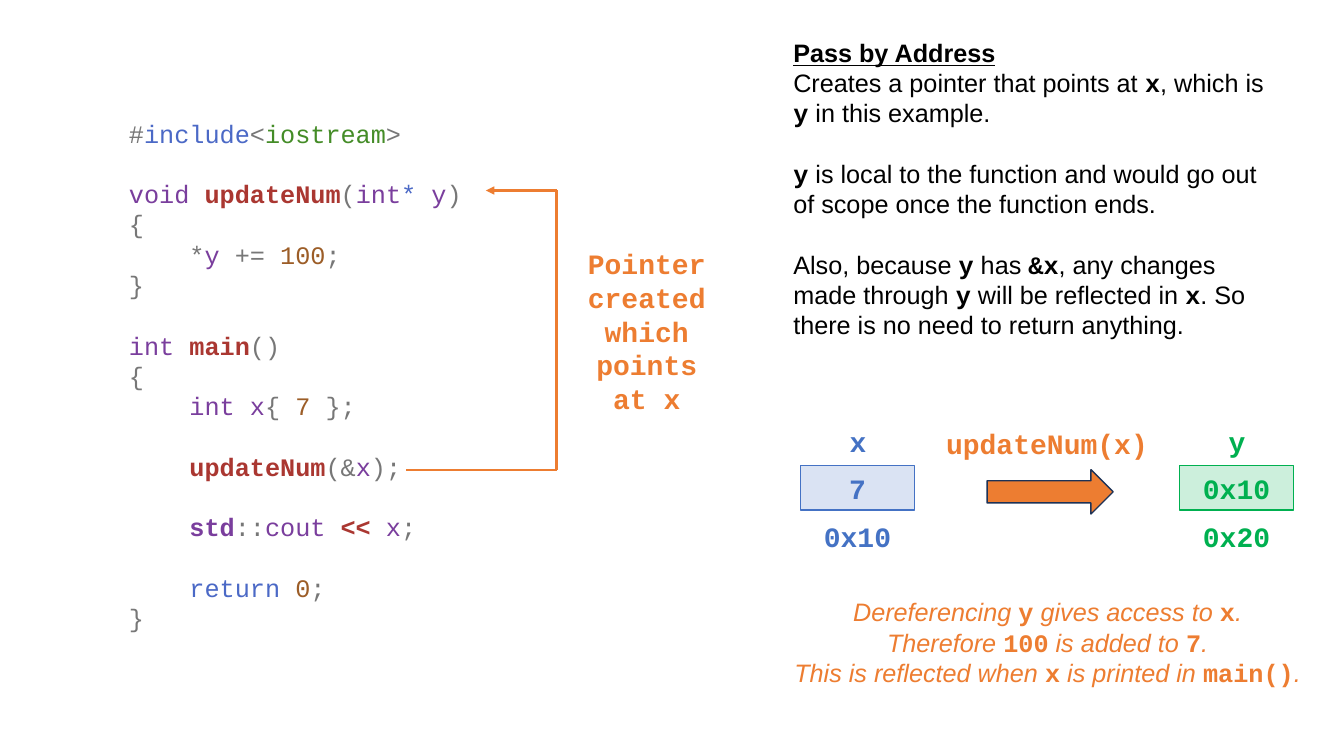
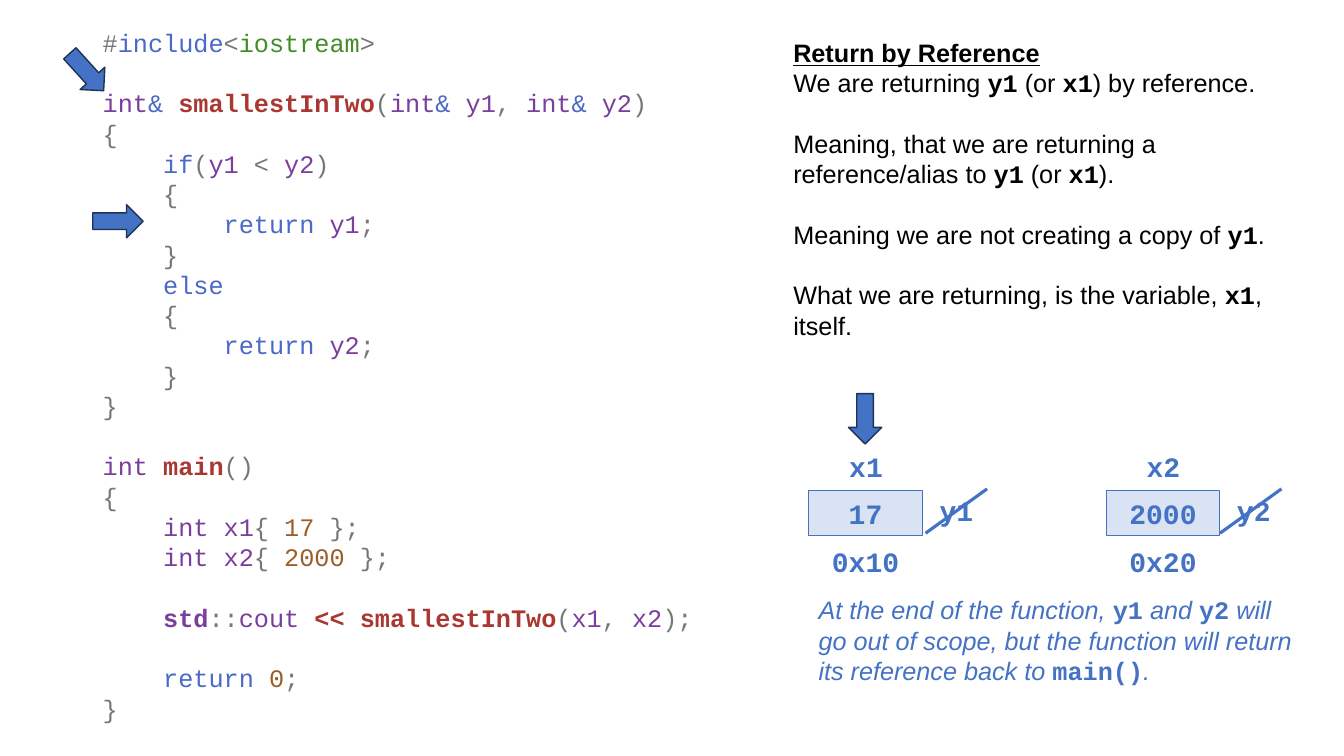
from dataclasses import dataclass
from itertools import groupby, pairwise

from lxml import etree
from pptx import Presentation
from pptx import util as u
from pptx.dml import color as dml
from pptx.enum import shapes, text
from pptx.oxml import ns

EMU_PER_PX = 9144  # 100 px to the inch


@dataclass(frozen=True)
class Theme:
    sans: str = "Arial"
    mono: str = "Courier New"
    body_size: float = 18
    label_size: float = 20
    blank_line: float = 21.7
    thin: float = 0.75
    outline: float = 1
    route: float = 1.5
    strike: float = 2.25
    black: str = "000000"
    blue: str = "4472C4"
    pale_blue: str = "DAE3F3"
    navy: str = "1E3256"
    orange: str = "ED7D31"
    green: str = "00B050"
    code_symbol: str = "777777"
    code_keyword: str = "4B69C6"
    code_header: str = "448C27"
    code_name: str = "7A3E9D"
    code_function: str = "AA3731"
    code_number: str = "9C5D27"


THEME = Theme()
KEYWORDS = {"include", "return", "if", "else"}
FUNCTIONS = {"updateNum", "smallestInTwo", "main"}

ADDRESS_CODE = """#include<iostream>

void updateNum(int* y)
{
    *y += 100;
}

int main()
{
    int x{ 7 };

    updateNum(&x);

    std::cout << x;

    return 0;
}"""

REFERENCE_CODE = """#include<iostream>

int& smallestInTwo(int& y1, int& y2)
{
    if(y1 < y2)
    {
        return y1;
    }
    else
    {
        return y2;
    }
}

int main()
{
    int x1{ 17 };
    int x2{ 2000 };

    std::cout << smallestInTwo(x1, x2);

    return 0;
}"""


def px(length):
    return u.Emu(length * EMU_PER_PX)


def rgb(value):
    return dml.RGBColor.from_string(value)


def style_font(font, name=None, size=None, color=None, **flags):
    if name:
        font.name = name
    if size:
        font.size = u.Pt(size)
    if color:
        font.color.rgb = rgb(color)
    for flag, value in flags.items():
        setattr(font, flag, value)


def add_text_frame(slide, box):
    frame = slide.shapes.add_textbox(*map(px, box)).text_frame
    frame.word_wrap = True
    frame.auto_size = text.MSO_AUTO_SIZE.SHAPE_TO_FIT_TEXT
    return frame


def next_paragraph(frame, index, gap=False):
    paragraph = frame.add_paragraph() if index else frame.paragraphs[0]
    if gap:
        paragraph.space_before = u.Pt(THEME.blank_line)
    return paragraph


# Source code with syntax colours
def token_kind(character):
    if character.isspace():
        return "space"
    return "word" if character.isalnum() else "symbol"


def token_style(token, kind, previous):
    """Return the colour of a token and whether it is bold."""
    if kind == "symbol":
        if token == "<<":
            return THEME.code_function, True
        after_type = previous == "int" and token in "*&"
        return (THEME.code_keyword if after_type else THEME.code_symbol), False
    if token in FUNCTIONS:
        return THEME.code_function, True
    if token in KEYWORDS:
        return THEME.code_keyword, False
    if token == "iostream":
        return THEME.code_header, False
    if token.isdigit():
        return THEME.code_number, False
    return THEME.code_name, token == "std"


def add_code(slide, box, source):
    frame = add_text_frame(slide, box)
    gap = False
    for index, line in enumerate(source.splitlines()):
        if not line:
            gap = True
            continue
        paragraph = next_paragraph(frame, index, gap)
        style_font(paragraph.font, THEME.mono, THEME.body_size)
        previous = ""
        for kind, characters in groupby(line, token_kind):
            token = "".join(characters)
            run = paragraph.add_run()
            run.text = token
            color, bold = token_style(token, kind, previous)
            style_font(run.font, color=color, bold=bold)
            previous = token
        gap = False


# Prose, with `code words` between backticks
def add_marked_runs(paragraph, sentence, italic=False):
    for index, part in enumerate(sentence.split("`")):
        is_code = index % 2 == 1
        run = paragraph.add_run()
        run.text = part
        style_font(run.font, THEME.mono if is_code else THEME.sans,
                   bold=is_code, italic=italic and not is_code)


def add_explanation(slide, heading, sentences):
    frame = add_text_frame(slide, (777, 32, 494, 313))
    title = frame.paragraphs[0]
    title.add_run().text = heading
    style_font(title.font, THEME.sans, THEME.body_size, THEME.black, bold=True, underline=True)
    for index, sentence in enumerate(sentences, 1):
        paragraph = next_paragraph(frame, index, gap=index > 1)
        style_font(paragraph.font, size=THEME.body_size, color=THEME.black)
        add_marked_runs(paragraph, sentence)


def add_remark(slide, box, sentences, color, alignment):
    frame = add_text_frame(slide, box)
    for index, sentence in enumerate(sentences):
        paragraph = next_paragraph(frame, index)
        paragraph.alignment = alignment
        style_font(paragraph.font, size=THEME.body_size, color=color)
        add_marked_runs(paragraph, sentence, italic=True)


# Memory diagram
def write_label(frame, caption, color):
    paragraph = frame.paragraphs[0]
    paragraph.alignment = text.PP_ALIGN.CENTER
    paragraph.add_run().text = caption
    style_font(paragraph.font, THEME.mono, THEME.label_size, color, bold=True)


def add_label(slide, box, caption, color):
    write_label(add_text_frame(slide, box), caption, color)


def add_filled_shape(slide, kind, box, fill, line, width):
    shape = slide.shapes.add_shape(kind, *map(px, box))
    shape.shadow.inherit = False
    shape.fill.solid()
    shape.fill.fore_color.rgb = rgb(fill)
    shape.line.color.rgb = rgb(line)
    shape.line.width = u.Pt(width)
    return shape


def add_variable(slide, left, top, name, value, address, color, fill, opacity=None):
    """Memory cell with its name above and its address below."""
    cell = add_filled_shape(slide, shapes.MSO_SHAPE.RECTANGLE, (left, top, 113, 44),
                            fill, color, THEME.thin)
    if opacity:
        fill_color = cell.fill._xPr.find(ns.qn("a:solidFill"))[0]
        etree.SubElement(fill_color, ns.qn("a:alpha"), val=str(opacity * 1000))
    write_label(cell.text_frame, value, color)
    add_label(slide, (left + 12, top - 46, 90, 44), name, color)
    add_label(slide, (left - 17, top + 48, 147, 44), address, color)


def add_arrow(slide, box, color, rotation=0):
    arrow = add_filled_shape(slide, shapes.MSO_SHAPE.RIGHT_ARROW, box,
                             color, THEME.navy, THEME.outline)
    arrow.rotation = rotation


def add_line(parent, start, end, color, width):
    line = parent.shapes.add_connector(shapes.MSO_CONNECTOR.STRAIGHT,
                                       *map(px, (*start, *end)))
    line.line.color.rgb = rgb(color)
    line.line.width = u.Pt(width)
    etree.SubElement(line._element.spPr, ns.qn("a:effectLst"))
    return line


def add_route(slide, points, color):
    """Grouped line through the points, with an arrowhead at the last."""
    group = slide.shapes.add_group_shape()
    for start, end in pairwise(points):
        line = add_line(group, start, end, color, THEME.route)
    etree.SubElement(line.line._get_or_add_ln(), ns.qn("a:tailEnd"), type="triangle")


def add_struck_alias(slide, left, top, name, strike_left):
    add_label(slide, (left, top, 61, 44), name, THEME.blue)
    add_line(slide, (strike_left + 61, top), (strike_left, top + 44),
             THEME.blue, THEME.strike)


# Slides
def build_address_slide(slide):
    add_code(slide, (118, 112, 362, 525), ADDRESS_CODE)
    add_explanation(slide, "Pass by Address", [
        "Creates a pointer that points at `x`, which is `y` in this example.",
        "`y` is local to the function and would go out of scope once the function ends.",
        "Also, because `y` has `&x`, any changes made through `y` will be reflected in `x`. "
        "So there is no need to return anything.",
    ])
    add_variable(slide, 794, 462, "x", "7", "0x10", THEME.blue, THEME.pale_blue)
    add_label(slide, (922, 418, 233, 44), "updateNum(x)", THEME.orange)
    add_arrow(slide, (979, 466, 125, 44), THEME.orange)
    add_variable(slide, 1170, 462, "y", "0x10", "0x20", THEME.green, THEME.green, opacity=20)
    add_remark(slide, (760, 587, 558, 101), [
        "Dereferencing `y` gives access to `x`.",
        "Therefore `100` is added to `7`.",
        "This is reflected when `x` is printed in `main()`.",
    ], THEME.orange, text.PP_ALIGN.CENTER)
    add_route(slide, [(403, 466), (552, 466), (552, 189), (482, 189)], THEME.orange)
    add_label(slide, (560, 240, 163, 178), "Pointer created which points at x", THEME.orange)


def build_reference_slide(slide):
    add_explanation(slide, "Return by Reference", [
        "We are returning `y1` (or `x1`) by reference.",
        "Meaning, that we are returning a reference/alias to `y1` (or `x1`).",
        "Meaning we are not creating a copy of `y1`.",
        "What we are returning, is the variable, `x1`, itself.",
    ])
    add_code(slide, (92, 22, 611, 707), REFERENCE_CODE)
    for left, name, value, address, alias, strike_left in (
            (802, "x1", "17", "0x10", "y1", 918),
            (1097, "x2", "2000", "0x20", "y2", 1210)):
        add_variable(slide, left, 487, name, value, address, THEME.blue, THEME.pale_blue)
        add_struck_alias(slide, left + 116, 485, alias, strike_left)
    for left, top, rotation in ((92, 203, 0), (833, 399, 90), (61, 55, 47.9)):
        add_arrow(slide, (left, top, 50, 33), THEME.blue, rotation)
    add_remark(slide, (802, 585, 494, 101), [
        "At the end of the function, `y1` and `y2` will go out of scope, "
        "but the function will return its reference back to `main()`.",
    ], THEME.blue, text.PP_ALIGN.LEFT)


def main():
    presentation = Presentation()
    presentation.slide_width, presentation.slide_height = px(1333), px(750)
    for build in (build_address_slide, build_reference_slide):
        build(presentation.slides.add_slide(presentation.slide_layouts[6]))
    presentation.save("out.pptx")


if __name__ == "__main__":
    main()
